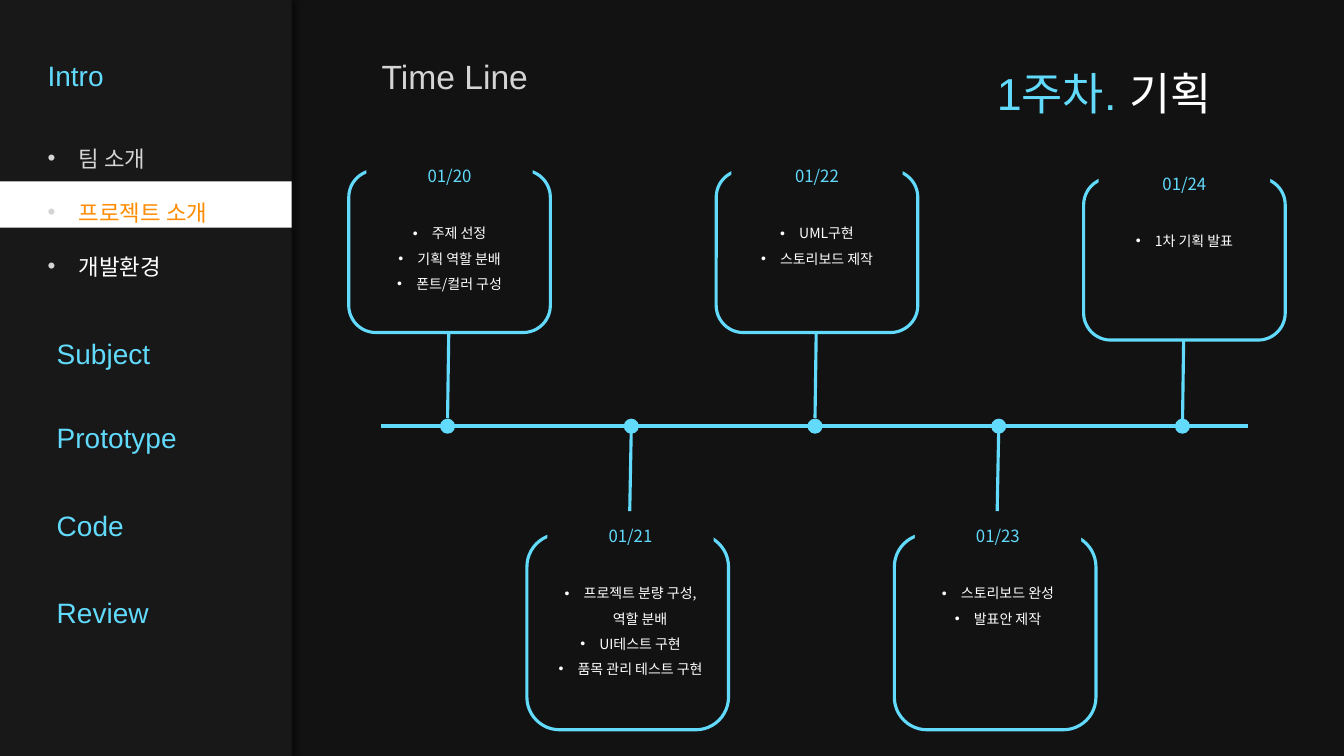
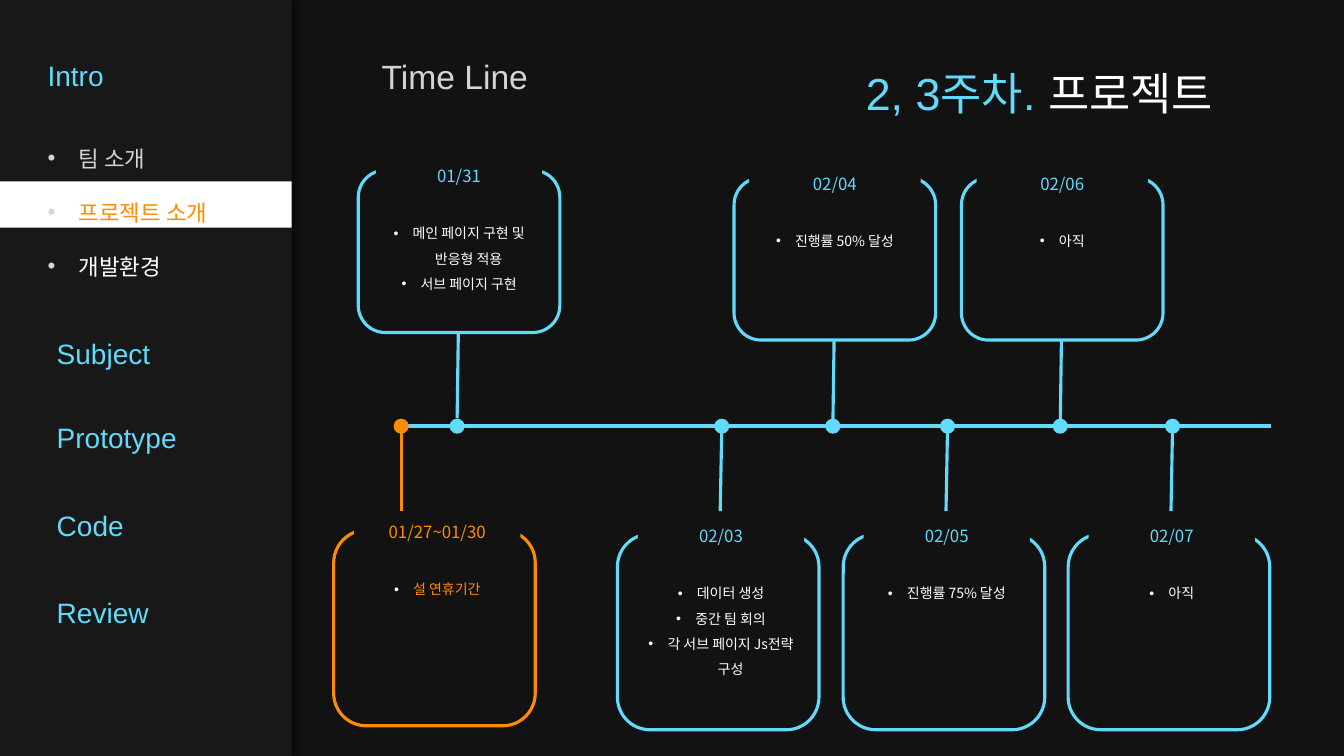
from dataclasses import dataclass

from lxml.etree import SubElement
from pptx import Presentation
from pptx.dml.color import RGBColor
from pptx.enum.shapes import MSO_CONNECTOR as Connector, MSO_SHAPE as Preset
from pptx.enum.text import MSO_ANCHOR as Anchor, PP_ALIGN as Align
from pptx.oxml.ns import qn
from pptx.shapes.autoshape import Shape
from pptx.slide import Slide
from pptx.text.text import TextFrame
from pptx.util import Cm, Length, Pt

BACK, PANEL, WHITE, GREY = "121212", "181818", "FFFFFF", "D4D4D4"
CYAN, ORANGE = "61DAFB", "FF8C00"
SANS, KOREAN = "Arial", "Noto Sans CJK KR"
AXIS_Y = 10.74
PANEL_WIDTH = 7.35
FRAME_WIDTH = 5.08


@dataclass(frozen=True)
class Placement:
    """Lengths in cm that depend on the side of the axis."""
    frame_top: float
    frame_height: float
    frame_shift: float
    mask_rise: float
    mask_height: float
    mask_shift: float


ABOVE = Placement(4.29, 4.09, -2.49, 0.48, 3.76, 0)
BELOW = Placement(13.46, 4.93, -2.63, 0.58, 5.26, 0.07)


@dataclass(frozen=True)
class Event:
    date: str
    tasks: tuple[str, ...]
    dot: float
    side: Placement
    drop: float = 0
    shift: float = 0
    mask_width: float = 4.19
    lean: float = 0.04
    accent: str = CYAN
    ink: str = WHITE


@dataclass(frozen=True)
class Week:
    label: str
    subject: str
    title_left: float
    title_width: float
    axis_left: float
    events: tuple[Event, ...]


def week_one_dot(day: int) -> float:
    return 11.28 + 4.63 * day


WEEKS = (
    Week("1주차. ", "기획", 24.87, 7.52, 9.6, (
        Event("01/20", ("주제 선정", "기획 역할 분배", "폰트/컬러 구성"), week_one_dot(0), ABOVE),
        Event("01/21", ("프로젝트 분량 구성,역할 분배", "UI테스트 구현", "품목 관리 테스트 구현"),
              week_one_dot(1), BELOW),
        Event("01/22", ("UML구현", "스토리보드 제작"), week_one_dot(2), ABOVE, mask_width=4.32),
        Event("01/23", ("스토리보드 완성", "발표안 제작"), week_one_dot(3), BELOW),
        Event("01/24", ("1차 기획 발표",), week_one_dot(4), ABOVE, drop=0.19, mask_width=4.32),
    )),
    Week("2, 3주차. ", "프로젝트", 21.57, 10.82, 10.18, (
        Event("01/27~01/30", ("설 연휴기간",), 10.11, BELOW, drop=-0.1, shift=0.93,
              lean=0, accent=ORANGE, ink=ORANGE),
        Event("01/31", ("메인 페이지 구현 및 반응형 적용", "서브 페이지 구현"), 11.52, ABOVE),
        Event("02/03", ("데이터 생성", "중간 팀 회의", "각 서브 페이지 Js전략 구성"), 18.19, BELOW),
        Event("02/04", ("진행률 50% 달성",), 20.99, ABOVE, drop=0.19, mask_width=4.32),
        Event("02/05", ("진행률 75% 달성",), 23.88, BELOW),
        Event("02/06", ("아직",), 26.72, ABOVE, drop=0.19, mask_width=4.32),
        Event("02/07", ("아직",), 29.55, BELOW),
    )),
)
MENU = (("Intro", 0.95, 0.86), ("Subject", 1.18, 7.87), ("Prototype", 1.18, 9.99),
        ("Code", 1.18, 12.19), ("Review", 1.18, 14.39))
SUBMENU = (("팀 소개", GREY), ("프로젝트 소개", ORANGE), ("개발환경", WHITE))


def rgb(color: str) -> RGBColor:
    return RGBColor.from_string(color)


def add_block(page: Slide, preset: Preset, left: float, top: float, width: float,
              height: float, fill: str = "", line: str = "") -> Shape:
    shape = page.shapes.add_shape(preset, Cm(left), Cm(top), Cm(width), Cm(height))
    shape.shadow.inherit = False
    if fill:
        shape.fill.solid()
        shape.fill.fore_color.rgb = rgb(fill)
    else:
        shape.fill.background()
    if line:
        shape.line.color.rgb = rgb(line)
        shape.line.width = Pt(2.25)
    else:
        shape.line.fill.background()
    return shape


def add_line(page: Slide, start: tuple[float, float], end: tuple[float, float],
             color: str, weight: float = 2.25) -> None:
    line = page.shapes.add_connector(Connector.STRAIGHT, *map(Cm, start + end))
    line.line.color.rgb = rgb(color)
    line.line.width = Pt(weight)
    SubElement(line._element.spPr, qn("a:effectLst"))


def add_box(page: Slide, left: float, top: float, width: float, height: float,
            anchor: Anchor = Anchor.TOP) -> TextFrame:
    frame = page.shapes.add_textbox(Cm(left), Cm(top), Cm(width), Cm(height)).text_frame
    frame.word_wrap = True
    frame.vertical_anchor = anchor
    return frame


def add_para(frame: TextFrame, *spans: tuple[str, str], size: float, font: str = SANS,
             spacing: float | Length = 0.9, before: float = 0, align: Align = Align.LEFT,
             bullet: str = "", indent: float = 0) -> None:
    """Write (text, colour) spans; bullet is the colour of the bullet, if any."""
    first = frame.paragraphs[0]
    para = frame.add_paragraph() if first.runs else first
    if bullet:
        props = para._p.get_or_add_pPr()
        props.set("marL", str(Cm(indent)))
        props.set("indent", str(-Cm(indent)))
        SubElement(SubElement(props, qn("a:buClr")), qn("a:srgbClr"), val=bullet)
        SubElement(props, qn("a:buFont"), typeface=SANS)
        SubElement(props, qn("a:buChar"), char="•")
    para.alignment = align
    para.line_spacing = spacing
    if before:
        para.space_before = Pt(before)
    for text, color in spans:
        span = para.add_run()
        span.text = text
        span.font.size = Pt(size)
        span.font.name = font
        span.font.color.rgb = rgb(color)


def add_side_shadow(shape: Shape) -> None:
    effects = shape._element.spPr.find(qn("a:effectLst"))
    shadow = SubElement(effects, qn("a:outerShdw"), blurRad=str(Pt(4)), dist=str(Pt(3)),
                        dir="0", algn="l", rotWithShape="0")
    color = SubElement(shadow, qn("a:srgbClr"), val="000000")
    SubElement(color, qn("a:alpha"), val="40000")


def draw_menu(page: Slide) -> None:
    add_side_shadow(add_block(page, Preset.RECTANGLE, 0, 0, PANEL_WIDTH, 19.05, PANEL))
    add_block(page, Preset.RECTANGLE, 0, 4.57, PANEL_WIDTH, 1.17, WHITE)
    for text, left, top in MENU:
        add_para(add_box(page, left, top, 5.46, 2.18, Anchor.MIDDLE), (text, CYAN), size=20)
    submenu = add_box(page, 0.95, 2.44, 5.46, 5.13, Anchor.MIDDLE)
    for item in SUBMENU:
        add_para(submenu, item, size=16, spacing=Pt(38.6), bullet=GREY, indent=0.79)


def draw_event(page: Slide, event: Event) -> None:
    side = event.side
    left = event.dot + side.frame_shift + event.shift
    top = side.frame_top + event.drop
    center = left + FRAME_WIDTH / 2
    add_block(page, Preset.OVAL, event.dot - 0.19, AXIS_Y - 0.19, 0.38, 0.38, event.accent)
    add_block(page, Preset.ROUNDED_RECTANGLE, left, top, FRAME_WIDTH, side.frame_height,
              line=event.accent)
    mask = add_block(page, Preset.RECTANGLE, center - event.mask_width / 2 + side.mask_shift,
                     top - side.mask_rise, event.mask_width, side.mask_height, BACK)
    frame = mask.text_frame
    frame.word_wrap = True
    frame.vertical_anchor = Anchor.TOP
    add_para(frame, (event.date, event.accent), size=12, font=KOREAN, spacing=Pt(21.6),
             align=Align.CENTER)
    for index, task in enumerate(event.tasks):
        add_para(frame, (task, event.ink), size=10, font=KOREAN, spacing=Pt(18),
                 before=0 if index else 21.6, align=Align.CENTER, bullet=WHITE, indent=0.48)
    if side is ABOVE:
        bottom = top + side.frame_height
        add_line(page, (center - 0.02, bottom), (center - 0.05, bottom + 2.16), event.accent)
    else:
        add_line(page, (event.dot, 10.72), (event.dot - event.lean, 12.88), event.accent)


def draw_week(page: Slide, week: Week) -> None:
    page.background.fill.solid()
    page.background.fill.fore_color.rgb = rgb(BACK)
    draw_menu(page)
    add_para(add_box(page, 9.37, 1.4, 9.55, 1.12), ("Time Line", GREY), size=24)
    add_para(add_box(page, week.title_left, 1.68, week.title_width, 1.63),
             (week.label, CYAN), (week.subject, WHITE), size=32)
    add_line(page, (week.axis_left, AXIS_Y), (week.axis_left + 21.84, AXIS_Y), CYAN, 3)
    for event in week.events:
        draw_event(page, event)


def main() -> None:
    deck = Presentation()
    deck.slide_width, deck.slide_height = Cm(33.87), Cm(19.05)
    for week in WEEKS:
        draw_week(deck.slides.add_slide(deck.slide_layouts[6]), week)
    deck.save("out.pptx")


if __name__ == "__main__":
    main()
